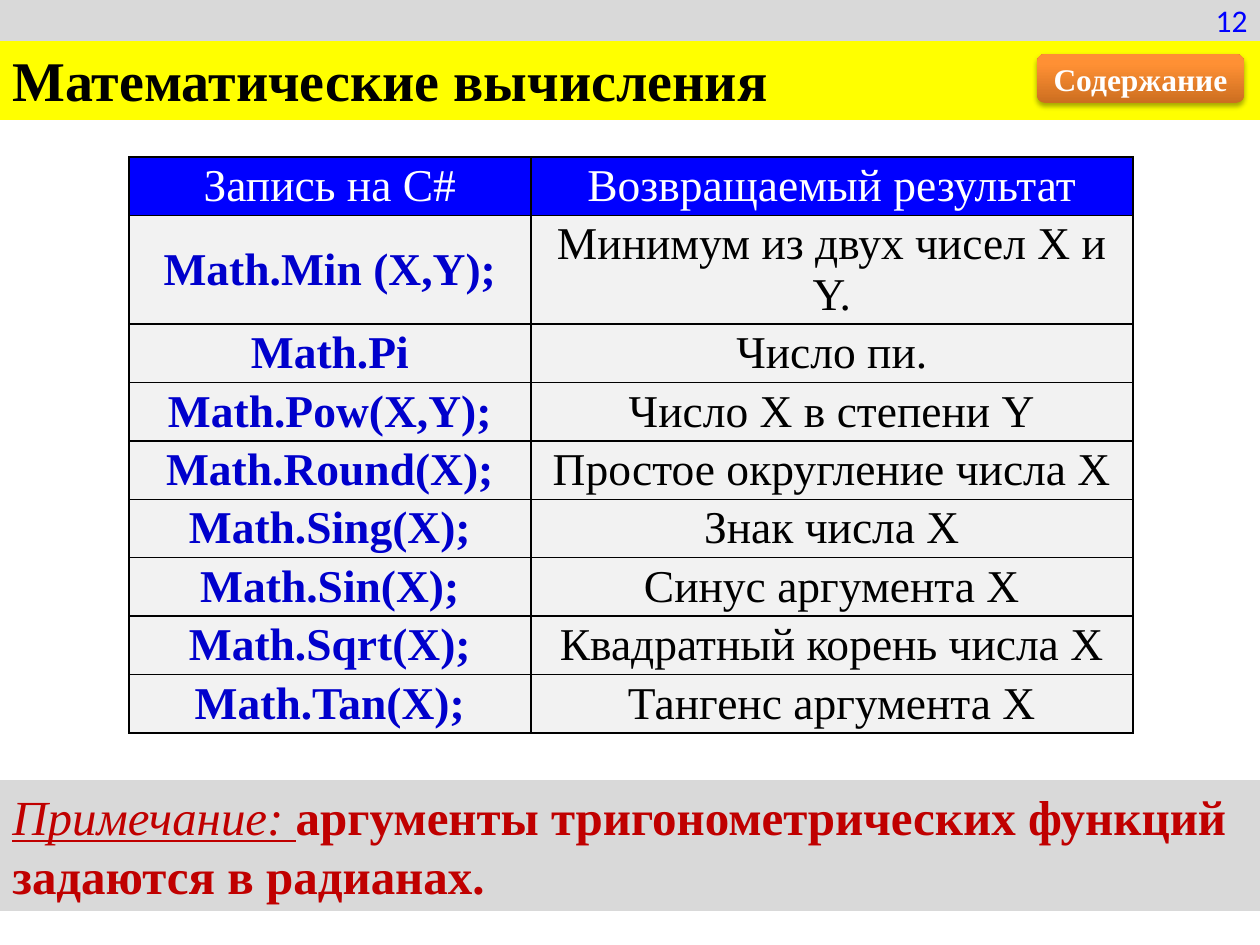
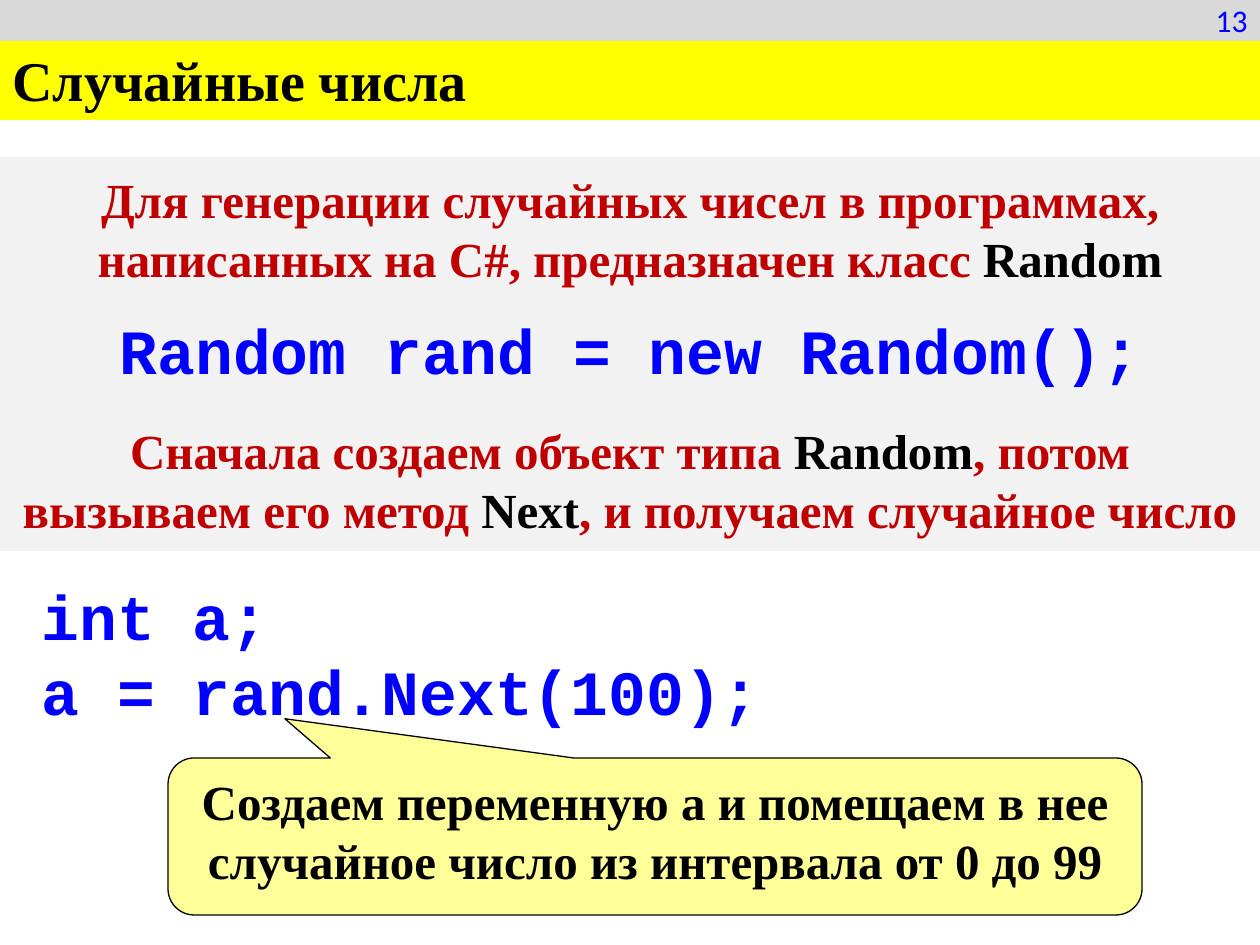
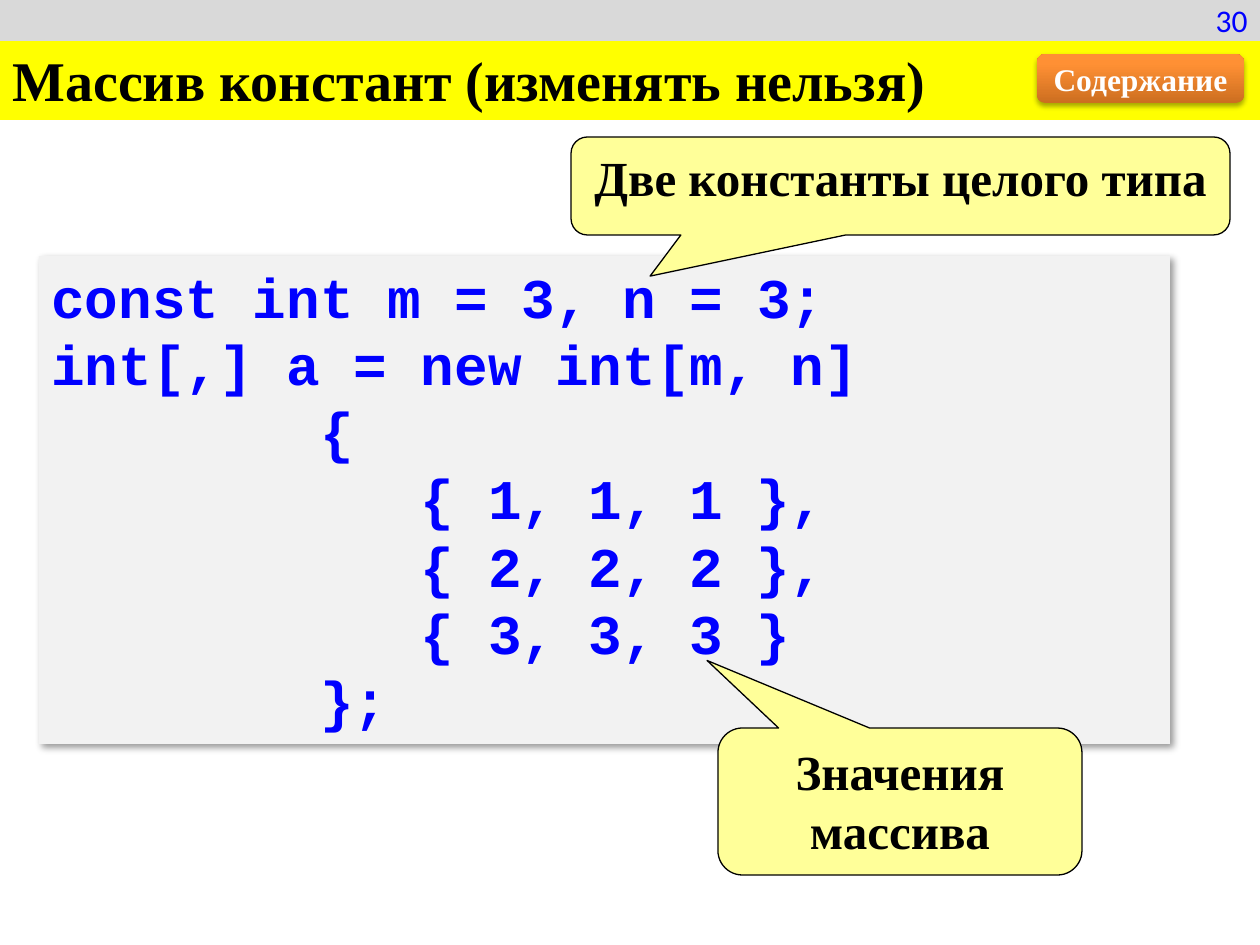
from lxml import etree
from pptx import Presentation
from pptx.dml.color import RGBColor
from pptx.enum.shapes import MSO_SHAPE
from pptx.enum.text import MSO_ANCHOR, PP_ALIGN
from pptx.oxml import parse_xml
from pptx.oxml.ns import nsdecls, qn
from pptx.util import Emu, Pt

RECT, ROUNDED = MSO_SHAPE.RECTANGLE, MSO_SHAPE.ROUNDED_RECTANGLE
CALLOUT = MSO_SHAPE.ROUNDED_RECTANGULAR_CALLOUT
TOP, MIDDLE = MSO_ANCHOR.TOP, MSO_ANCHOR.MIDDLE
LEFT, CENTER, RIGHT = PP_ALIGN.LEFT, PP_ALIGN.CENTER, PP_ALIGN.RIGHT
SERIF, SANS, MONO = "Times New Roman", "Calibri", "Courier New"

COLORS = {
    "black": "000000", "white": "FFFFFF", "grey": "D9D9D9", "pale": "F2F2F2",
    "yellow": "FFFF00", "cream": "FFFF99", "blue": "0000FF", "navy": "0000CC",
    "red": "C00000", "rust": "CC6E20", "orange": "FF9034",
}

PAGES = [
    ("12", "Математические вычисления", True),
    ("13", "Случайные числа", False),
    ("30", "Массив констант (изменять нельзя)", True),
]
CONTENTS = "Содержание"

MATH_HEADER = ("Запись на C#", "Возвращаемый результат")
MATH_FUNCTIONS = [
    ("Math.Min (X,Y);", "Минимум из двух чисел Х и Y."),
    ("Math.Pi", "Число пи."),
    ("Math.Pow(X,Y);", "Число X в степени Y"),
    ("Math.Round(Х);", "Простое округление числа Х"),
    ("Math.Sing(Х);", "Знак числа Х"),
    ("Math.Sin(Х);", "Синус аргумента Х"),
    ("Math.Sqrt(Х);", "Квадратный корень числа Х"),
    ("Math.Tan(Х);", "Тангенс аргумента Х"),
]
MATH_COLUMNS = (402, 602)
MATH_ROW, MATH_TALL_ROW = 57, 108

NOTE_LABEL = "Примечание: "
NOTE = "аргументы тригонометрических функций задаются в радианах."

RANDOM_CLASS = [
    ("Для генерации случайных чисел в программах, написанных на C#, предназначен класс ", "red"),
    ("Random", "black"),
]
RANDOM_OBJECT = "Random rand = new Random();"
RANDOM_METHOD = [
    ("Сначала создаем объект типа ", "red"),
    ("Random", "black"),
    (", потом вызываем его метод ", "red"),
    ("Next", "black"),
    (", и получаем случайное число", "red"),
]
NEXT_CODE = [(0, "int a;"), (0, "a = rand.Next(100);")]
NEXT_CALLOUT = ("Создаем переменную а и помещаем в нее случайное число из интервала от 0 до 99",
                (168, 758, 974, 157), (-0.38, -0.75))

ARRAY_CODE = [
    (0, "const int m = 3, n = 3;"),
    (0, "int[,] a = new int[m, n]"),
    (8, "{"),
    (11, "{ 1, 1, 1 },"),
    (11, "{ 2, 2, 2 },"),
    (11, "{ 3, 3, 3 }"),
    (8, "};"),
]
ARRAY_CALLOUTS = [
    ("Две константы целого типа", (571, 137, 659, 98), (-0.38, 0.92)),
    ("Значения массива", (718, 728, 364, 147), (-0.53, -0.96)),
]


def px(length):
    return Emu(round(length * 914400 / 126))


def rgb(name):
    return RGBColor.from_string(COLORS[name])


def add_box(slide, kind, place, fill=None, outline=None, weight=1, anchor=MIDDLE):
    box = slide.shapes.add_shape(kind, *map(px, place))
    box.shadow.inherit = False
    if fill:
        box.fill.solid()
        box.fill.fore_color.rgb = rgb(fill)
    else:
        box.fill.background()
    if outline:
        box.line.color.rgb = rgb(outline)
        box.line.width = Pt(weight)
    else:
        box.line.fill.background()
    box.text_frame.word_wrap = True
    box.text_frame.vertical_anchor = anchor
    return box


def style(paragraph, size, color, face=SERIF, bold=True, align=CENTER):
    paragraph.alignment = align
    font = paragraph.font
    font.size, font.name, font.bold = Pt(size), face, bold
    font.color.rgb = rgb(color)


def write(paragraph, text, *args, **kwargs):
    paragraph.text = text
    style(paragraph, *args, **kwargs)


def write_colored(paragraph, parts, size):
    style(paragraph, size, parts[0][1])
    for text, color in parts:
        run = paragraph.add_run()
        run.text = text
        run.font.color.rgb = rgb(color)


def write_code(frame, lines, size):
    for number, (indent, text) in enumerate(lines):
        line = frame.add_paragraph() if number else frame.paragraphs[0]
        write(line, text, size, "blue", MONO, align=LEFT)
        if indent:
            properties = line._p.get_or_add_pPr()
            properties.set("marL", str(Pt(indent * size * 0.6)))
            properties.set("indent", "0")


def cast_shadow(box, opacity, blur, distance, angle):
    effects = box._element.spPr.find(qn("a:effectLst"))
    effects.append(parse_xml(
        f'<a:outerShdw {nsdecls("a")} blurRad="{Pt(blur)}" dist="{Pt(distance)}" '
        f'dir="{angle * 60000}" algn="t" rotWithShape="0"><a:srgbClr val="{COLORS["black"]}">'
        f'<a:alpha val="{opacity * 1000}"/></a:srgbClr></a:outerShdw>'))


def add_contents_button(slide):
    button = add_box(slide, ROUNDED, (1037, 54, 207, 49))
    button.fill.gradient()
    button.fill.gradient_angle = 90
    bottom, top = button.fill.gradient_stops
    bottom.color.rgb, top.color.rgb = rgb("rust"), rgb("orange")
    bottom.position, top.position = 0, 0.8
    cast_shadow(button, 35, 3.1, 1.8, 90)
    write(button.text_frame.paragraphs[0], CONTENTS, 18, "white")


def add_page(deck, number, title, has_button):
    slide = deck.slides.add_slide(deck.slide_layouts[6])
    title_band = add_box(slide, RECT, (0, 39, 1260, 81), "yellow", anchor=TOP)
    write(title_band.text_frame.paragraphs[0], title, 32, "black", align=LEFT)
    number_band = add_box(slide, RECT, (0, 0, 1260, 39), "grey", "grey", 2)
    write(number_band.text_frame.paragraphs[0], number, 18, "blue", SANS, False, RIGHT)
    if has_button:
        add_contents_button(slide)
    return slide


def add_callout(slide, text, place, tip):
    callout = add_box(slide, CALLOUT, place, "cream", "black", 0.75, TOP)
    callout.adjustments[0], callout.adjustments[1] = tip
    write(callout.text_frame.paragraphs[0], text, 28, "black")


def fill_cell(cell, text, fill, color, bold):
    cell.fill.solid()
    cell.fill.fore_color.rgb = rgb(fill)
    cell.vertical_anchor = MIDDLE
    cell.margin_left = cell.margin_right = px(8)
    cell.margin_top = cell.margin_bottom = px(4)
    write(cell.text_frame.paragraphs[0], text, 26, color, bold=bold)
    properties = cell._tc.get_or_add_tcPr()
    for position, side in enumerate(("lnL", "lnR", "lnT", "lnB")):
        border = etree.Element(qn(f"a:{side}"), w=str(Pt(1)))
        solid = etree.SubElement(border, qn("a:solidFill"))
        etree.SubElement(solid, qn("a:srgbClr"), val=COLORS["black"])
        properties.insert(position, border)


def add_math_table(slide):
    rows = [MATH_HEADER, *MATH_FUNCTIONS]
    heights = [MATH_TALL_ROW if row == 1 else MATH_ROW for row in range(len(rows))]
    table = slide.shapes.add_table(len(rows), len(MATH_COLUMNS), px(129), px(157),
                                   px(sum(MATH_COLUMNS)), px(sum(heights))).table
    for column, width in zip(table.columns, MATH_COLUMNS):
        column.width = px(width)
    for row, (texts, height) in enumerate(zip(rows, heights)):
        table.rows[row].height = px(height)
        for column, text in enumerate(texts):
            if row == 0:
                look = ("blue", "white", False)
            elif column == 0:
                look = ("pale", "navy", True)
            else:
                look = ("pale", "black", False)
            fill_cell(table.cell(row, column), text, *look)


def add_note(slide):
    note = add_box(slide, RECT, (0, 780, 1260, 131), "grey").text_frame.paragraphs[0]
    style(note, 28, "red", bold=None, align=LEFT)
    label, body = note.add_run(), note.add_run()
    label.text, body.text = NOTE_LABEL, NOTE
    label.font.italic = label.font.underline = True
    body.font.bold = True


def add_random_intro(slide):
    frame = add_box(slide, RECT, (0, 157, 1260, 394), "pale").text_frame
    class_line, object_line, method_line = (
        frame.paragraphs[0], frame.add_paragraph(), frame.add_paragraph())
    write_colored(class_line, RANDOM_CLASS, 28)
    write(object_line, RANDOM_OBJECT, 36, "blue", MONO)
    write_colored(method_line, RANDOM_METHOD, 28)
    object_line.space_before, object_line.space_after = Pt(14), Pt(19)


def main():
    deck = Presentation()
    deck.slide_width, deck.slide_height = px(1260), px(945)
    math_page, random_page, array_page = [add_page(deck, *page) for page in PAGES]

    add_math_table(math_page)
    add_note(math_page)

    add_random_intro(random_page)
    next_code = add_box(random_page, RECT, (29, 571, 876, 165), anchor=TOP)
    write_code(next_code.text_frame, NEXT_CODE, 36)
    add_callout(random_page, *NEXT_CALLOUT)

    array_code = add_box(array_page, RECT, (39, 256, 1131, 488), "pale", anchor=TOP)
    cast_shadow(array_code, 40, 4, 3, 45)
    write_code(array_code.text_frame, ARRAY_CODE, 32)
    for callout in ARRAY_CALLOUTS:
        add_callout(array_page, *callout)

    deck.save("out.pptx")


if __name__ == "__main__":
    main()
